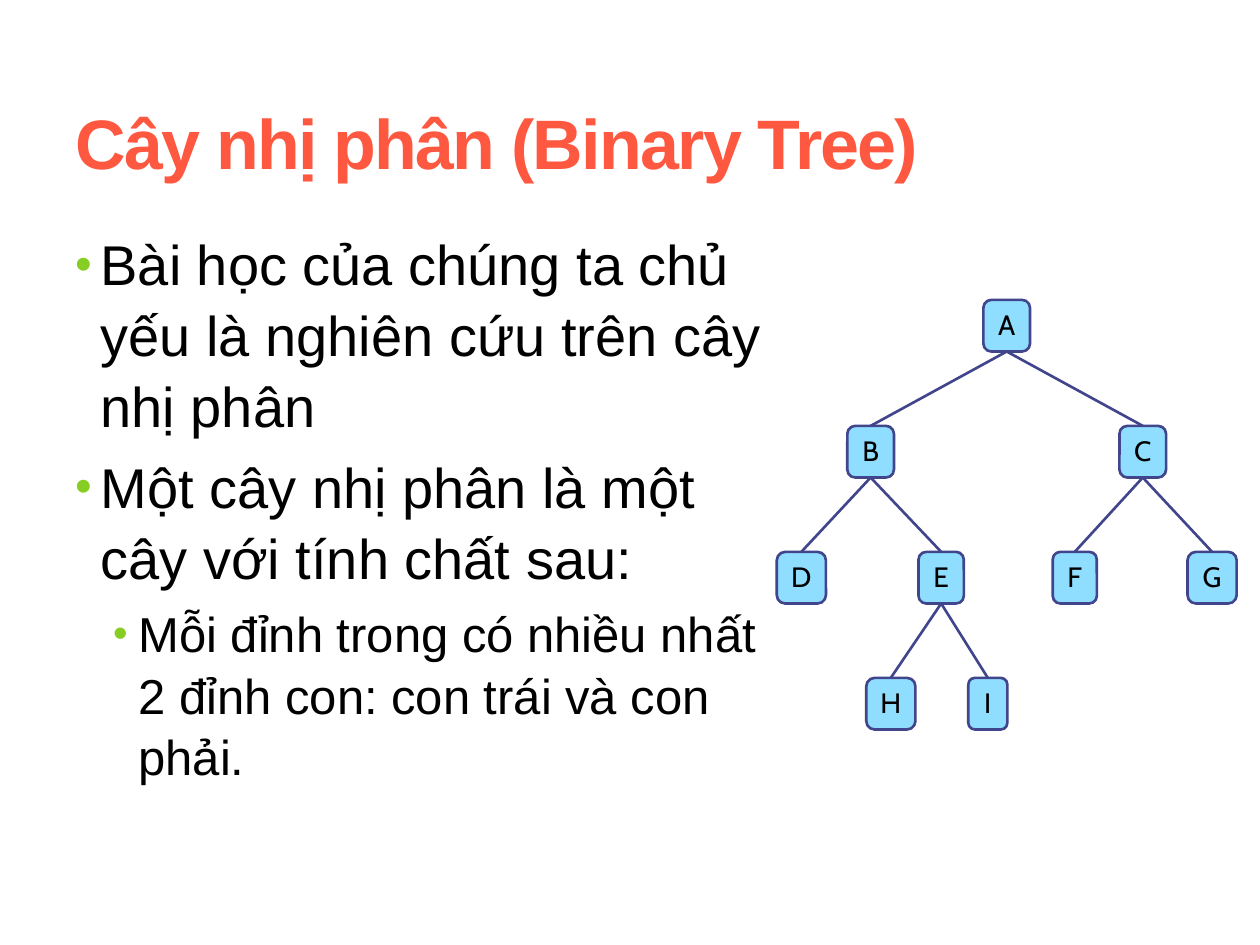
from dataclasses import dataclass

from lxml.etree import SubElement
from pptx import Presentation
from pptx.dml.color import RGBColor
from pptx.enum.shapes import MSO_CONNECTOR, MSO_SHAPE
from pptx.enum.text import MSO_ANCHOR, PP_ALIGN
from pptx.oxml.ns import qn
from pptx.util import Inches, Pt


@dataclass(frozen=True)
class Theme:
    title: RGBColor = RGBColor(0xFF, 0x58, 0x40)
    text: RGBColor = RGBColor(0, 0, 0)
    bullet: str = "86CE24"
    node: RGBColor = RGBColor(0x8F, 0xDE, 0xFF)
    line: RGBColor = RGBColor(0x40, 0x45, 0x8C)
    font: str = "Arial"
    node_font: str = "Cabin"
    title_size: int = 40
    body_sizes: tuple = (32, 28)
    node_size: int = 16
    line_width: float = 1.5


THEME = Theme()

BODY = [
    (0, "Bài học của chúng ta chủ yếu là nghiên cứu trên cây nhị phân"),
    (0, "Một cây nhị phân là một cây với tính chất sau:"),
    (1, "Mỗi đỉnh trong có nhiều nhất 2 đỉnh con: con trái và con phải."),
]
BODY_INDENTS = (0.2, 0.5)

# Name: (depth, centre, width), lengths in inches
NODES = {
    "A": (0, 7.99, 0.37),
    "B": (1, 6.91, 0.37),
    "C": (1, 9.07, 0.37),
    "D": (2, 6.36, 0.39),
    "E": (2, 7.47, 0.36),
    "F": (2, 8.53, 0.35),
    "G": (2, 9.62, 0.39),
    "H": (3, 7.07, 0.39),
    "I": (3, 7.84, 0.31),
}
EDGES = ["AB", "AC", "BD", "BE", "CF", "CG", "EH", "EI"]
TREE_TOP, LEVEL_STEP, NODE_HEIGHT = 2.38, 1.0, 0.41


def write_text(paragraph, text, *, size, color, font=THEME.font, bold=False,
               align=PP_ALIGN.LEFT, line_spacing=None, tracking=None):
    run = paragraph.add_run()
    run.text = text
    paragraph.alignment = align
    if line_spacing:
        paragraph.line_spacing = line_spacing
    run.font.name = font
    run.font.size = Pt(size)
    run.font.bold = bold
    run.font.color.rgb = color
    if tracking is not None:
        run.font._element.set("spc", str(tracking * 100))


def add_bullet(paragraph, indent):
    properties = paragraph._p.get_or_add_pPr()
    properties.set("marL", str(Inches(indent)))
    properties.set("indent", str(Inches(-0.2)))
    color = SubElement(properties, qn("a:buClr"))
    SubElement(color, qn("a:srgbClr"), val=THEME.bullet)
    SubElement(properties, qn("a:buSzPct"), val="85000")
    SubElement(properties, qn("a:buFont"), typeface=THEME.font)
    SubElement(properties, qn("a:buChar"), char="•")


def add_title(slide, text):
    title = slide.shapes.title
    title.left, title.top = Inches(0.5), Inches(0.58)
    title.width, title.height = Inches(9), Inches(1.08)
    title.text_frame.vertical_anchor = MSO_ANCHOR.MIDDLE
    write_text(title.text_frame.paragraphs[0], text, size=THEME.title_size,
               color=THEME.title, bold=True, tracking=-1)


def add_body(slide, items):
    box = slide.shapes.add_textbox(Inches(0.5), Inches(1.75),
                                   Inches(5.75), Inches(5.33))
    frame = box.text_frame
    frame.word_wrap = True
    for index, (level, text) in enumerate(items):
        paragraph = frame.add_paragraph() if index else frame.paragraphs[0]
        size = THEME.body_sizes[level]
        paragraph.level = level
        add_bullet(paragraph, BODY_INDENTS[level])
        if index:
            paragraph.space_before = Pt(0.2 * size)
        write_text(paragraph, text, size=size, color=THEME.text,
                   line_spacing=1.05)


def add_node(group, name, depth, centre, width):
    node = group.shapes.add_shape(
        MSO_SHAPE.ROUNDED_RECTANGLE,
        Inches(centre - width / 2), Inches(TREE_TOP + depth * LEVEL_STEP),
        Inches(width), Inches(NODE_HEIGHT))
    node.adjustments[0] = 0.17
    node.shadow.inherit = False
    node.fill.solid()
    node.fill.fore_color.rgb = THEME.node
    node.line.color.rgb = THEME.line
    node.line.width = Pt(THEME.line_width)
    frame = node.text_frame
    frame.word_wrap = False
    frame.vertical_anchor = MSO_ANCHOR.MIDDLE
    write_text(frame.paragraphs[0], name, size=THEME.node_size,
               color=THEME.text, font=THEME.node_font,
               align=PP_ALIGN.CENTER, line_spacing=0.93)
    return node


def add_edge(group, parent, child):
    edge = group.shapes.add_connector(MSO_CONNECTOR.STRAIGHT, parent.left,
                                      parent.top, child.left, child.top)
    edge.begin_connect(parent, 2)
    edge.end_connect(child, 0)
    edge.line.color.rgb = THEME.line
    edge.line.width = Pt(THEME.line_width)
    SubElement(edge._element.spPr, qn("a:effectLst"))


def add_tree(slide):
    group = slide.shapes.add_group_shape()
    nodes = {name: add_node(group, name, *place)
             for name, place in NODES.items()}
    for parent, child in EDGES:
        add_edge(group, nodes[parent], nodes[child])


def main():
    presentation = Presentation()
    presentation.slide_width = Inches(10)
    presentation.slide_height = Inches(7.5)
    slide = presentation.slides.add_slide(presentation.slide_layouts[5])
    add_title(slide, "Cây nhị phân (Binary Tree)")
    add_body(slide, BODY)
    add_tree(slide)
    presentation.save("out.pptx")


if __name__ == "__main__":
    main()
